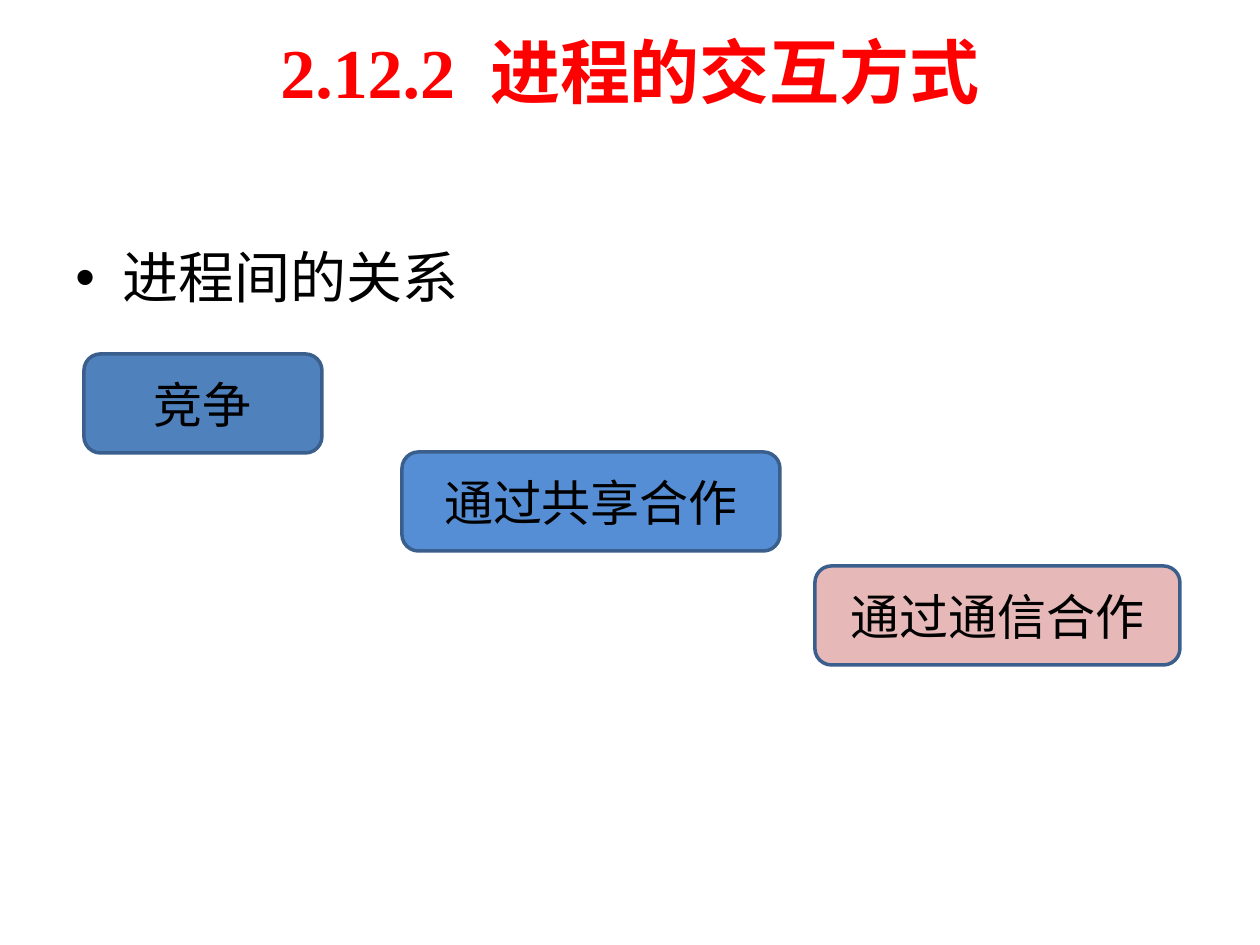
"""Slide on how processes interact: competition, sharing and communication."""
from lxml.etree import SubElement
from pptx import Presentation
from pptx.dml.color import RGBColor
from pptx.enum.shapes import MSO_SHAPE
from pptx.enum.text import MSO_ANCHOR, PP_ALIGN
from pptx.oxml.ns import qn
from pptx.util import Emu, Pt

RED = RGBColor(0xFF, 0x00, 0x00)
BLACK = RGBColor(0x00, 0x00, 0x00)
STEEL = RGBColor(0x4F, 0x81, 0xBD)
SKY = RGBColor(0x55, 0x8E, 0xD5)
ROSE = RGBColor(0xE6, 0xB9, 0xB8)
OUTLINE = RGBColor(0x3A, 0x5F, 0x8C)
SERIF = "Times New Roman"


def px(*lengths):
    return [Emu(round(length * 914400 / 126)) for length in lengths]


def add_run(paragraph, text, size, color, face, bold=False):
    run = paragraph.add_run()
    run.text = text
    font = run.font
    font.size, font.name, font.bold = Pt(size), face, bold
    font.color.rgb = color
    return run


prs = Presentation()
prs.slide_width, prs.slide_height = px(1260, 945)
slide = prs.slides.add_slide(prs.slide_layouts[6])

title = slide.shapes.add_textbox(*px(63, 6, 1134, 129)).text_frame
title.word_wrap = True
title.vertical_anchor = MSO_ANCHOR.MIDDLE
heading = title.paragraphs[0]
heading.alignment = PP_ALIGN.CENTER
add_run(heading, "2.12.2", 40, RED, SERIF, True)
gap = add_run(heading, " ", 40, RED, SERIF, True)
gap._r.get_or_add_rPr().set("spc", "1000")
add_run(heading, "进程的交互方式", 40, RED, SERIF, True)

body = slide.shapes.add_textbox(*px(63, 220, 1134, 624)).text_frame
body.word_wrap = True
relations = body.paragraphs[0]
relations.line_spacing = 1.25
indent = px(47)[0]
properties = relations._p.get_or_add_pPr()
properties.set("marL", str(indent))
properties.set("indent", str(-indent))
SubElement(properties, qn("a:buFont"), typeface="Arial")
SubElement(properties, qn("a:buChar"), char="•")
add_run(relations, "进程间的关系", 32, BLACK, SERIF)

interactions = [
    ("竞争", 84, 354, 238, STEEL),
    ("通过共享合作", 402, 452, 378, SKY),
    ("通过通信合作", 815, 566, 365, ROSE),
]
for label, left, top, width, fill in interactions:
    box = slide.shapes.add_shape(
        MSO_SHAPE.ROUNDED_RECTANGLE, *px(left, top, width, 99))
    box.shadow.inherit = False
    box.fill.solid()
    box.fill.fore_color.rgb = fill
    box.line.color.rgb = OUTLINE
    box.line.width = Pt(2)
    box.text_frame.word_wrap = True
    box.text_frame.vertical_anchor = MSO_ANCHOR.MIDDLE
    caption = box.text_frame.paragraphs[0]
    caption.alignment = PP_ALIGN.CENTER
    add_run(caption, label, 28, BLACK, "Arial")

prs.save("out.pptx")
